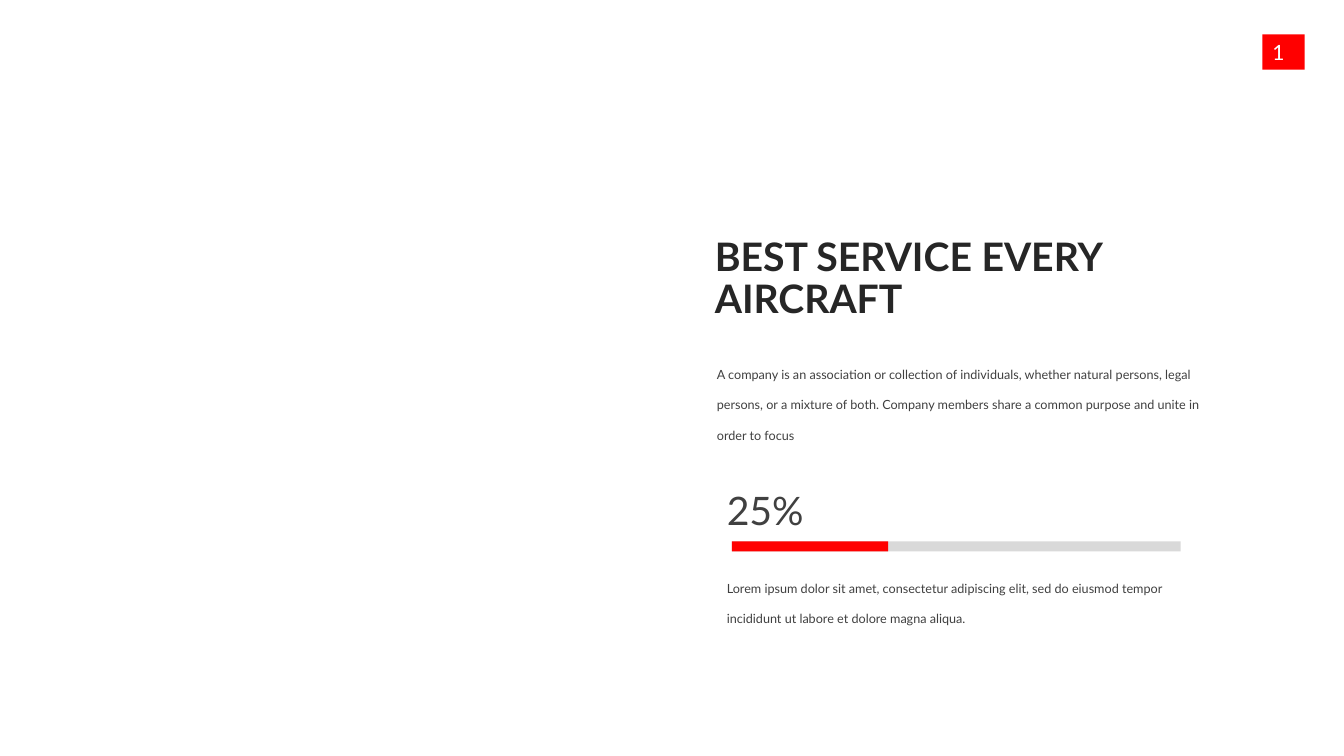
from dataclasses import dataclass

from pptx import Presentation
from pptx.dml.color import RGBColor
from pptx.enum.shapes import MSO_SHAPE
from pptx.enum.text import MSO_ANCHOR, MSO_AUTO_SIZE, PP_ALIGN
from pptx.util import Inches, Pt

RECTANGLE = MSO_SHAPE.RECTANGLE
TOP, MIDDLE = MSO_ANCHOR.TOP, MSO_ANCHOR.MIDDLE
LEFT = PP_ALIGN.LEFT
NO_AUTOFIT = MSO_AUTO_SIZE.NONE
TITLE_ONLY = 5


@dataclass(frozen=True)
class Theme:
    font: str = "Lato"
    red: RGBColor = RGBColor(0xFF, 0x00, 0x00)
    track: RGBColor = RGBColor(0xD9, 0xD9, 0xD9)
    title: RGBColor = RGBColor(0x26, 0x26, 0x26)
    body: RGBColor = RGBColor(0x40, 0x40, 0x40)
    white: RGBColor = RGBColor(0xFF, 0xFF, 0xFF)
    large_size: int = 28
    number_size: int = 15
    body_size: int = 9


THEME = Theme()


def set_attributes(target, values):
    for name, value in values.items():
        setattr(target, name, value)


def write_text(shape, text, size, color, bold=False, line_spacing=1.0,
               anchor=TOP, margins=(0.1, 0.05)):
    """Fill a shape with one left-aligned paragraph; margins are side and top/bottom."""
    side, vertical = (Inches(margin) for margin in margins)
    frame = shape.text_frame
    frame.text = text
    set_attributes(frame, {
        "word_wrap": True, "auto_size": NO_AUTOFIT, "vertical_anchor": anchor,
        "margin_left": side, "margin_right": side,
        "margin_top": vertical, "margin_bottom": vertical,
    })
    paragraph = frame.paragraphs[0]
    set_attributes(paragraph, {"alignment": LEFT, "line_spacing": line_spacing})
    font = paragraph.runs[0].font
    set_attributes(font, {"name": THEME.font, "size": Pt(size), "bold": bold})
    font.color.rgb = color


def add_title(slide, text, left, top, width, height):
    title = slide.shapes.title
    set_attributes(title, {
        "left": Inches(left), "top": Inches(top),
        "width": Inches(width), "height": Inches(height),
    })
    write_text(title, text, THEME.large_size, THEME.title, bold=True,
               line_spacing=0.9, anchor=MIDDLE)


def add_text(slide, text, left, top, width, height, size, **text_format):
    box = slide.shapes.add_textbox(
        Inches(left), Inches(top), Inches(width), Inches(height))
    write_text(box, text, size, THEME.body, **text_format)


def add_rectangle(slide, left, top, width, height, color):
    rectangle = slide.shapes.add_shape(
        RECTANGLE, Inches(left), Inches(top), Inches(width), Inches(height))
    rectangle.shadow.inherit = False
    rectangle.fill.solid()
    rectangle.fill.fore_color.rgb = color
    rectangle.line.fill.background()
    return rectangle


def add_progress_bar(slide, left, top, width, filled_width, height):
    for bar_width, color in ((width, THEME.track), (filled_width, THEME.red)):
        add_rectangle(slide, left, top, bar_width, height, color)


def add_page_number(slide, number):
    badge = add_rectangle(slide, 12.52, 0.34, 0.42, 0.35, THEME.red)
    write_text(badge, number, THEME.number_size, THEME.white)


def main():
    presentation = Presentation()
    set_attributes(presentation, {
        "slide_width": Inches(13.33), "slide_height": Inches(7.5)})
    slide = presentation.slides.add_slide(presentation.slide_layouts[TITLE_ONLY])

    add_title(slide, "BEST SERVICE EVERY AIRCRAFT", 6.99, 2.13, 4.07, 1.29)
    add_text(slide, "A company is an association or collection of individuals, "
             "whether natural persons, legal persons, or a mixture of both. "
             "Company members share a common purpose and unite in order to focus",
             7.11, 3.49, 4.92, 0.87, THEME.body_size,
             line_spacing=2.0, margins=(0, 0))
    add_progress_bar(slide, 7.26, 5.37, 4.45, 1.55, 0.1)
    add_text(slide, "Lorem ipsum dolor sit amet, consectetur adipiscing elit, "
             "sed do eiusmod tempor incididunt ut labore et dolore magna aliqua.",
             7.11, 5.56, 4.92, 0.67, THEME.body_size, line_spacing=2.0)
    add_text(slide, "25%", 7.11, 4.78, 1.01, 0.57, THEME.large_size)
    add_page_number(slide, "1")

    presentation.save("out.pptx")


if __name__ == "__main__":
    main()
